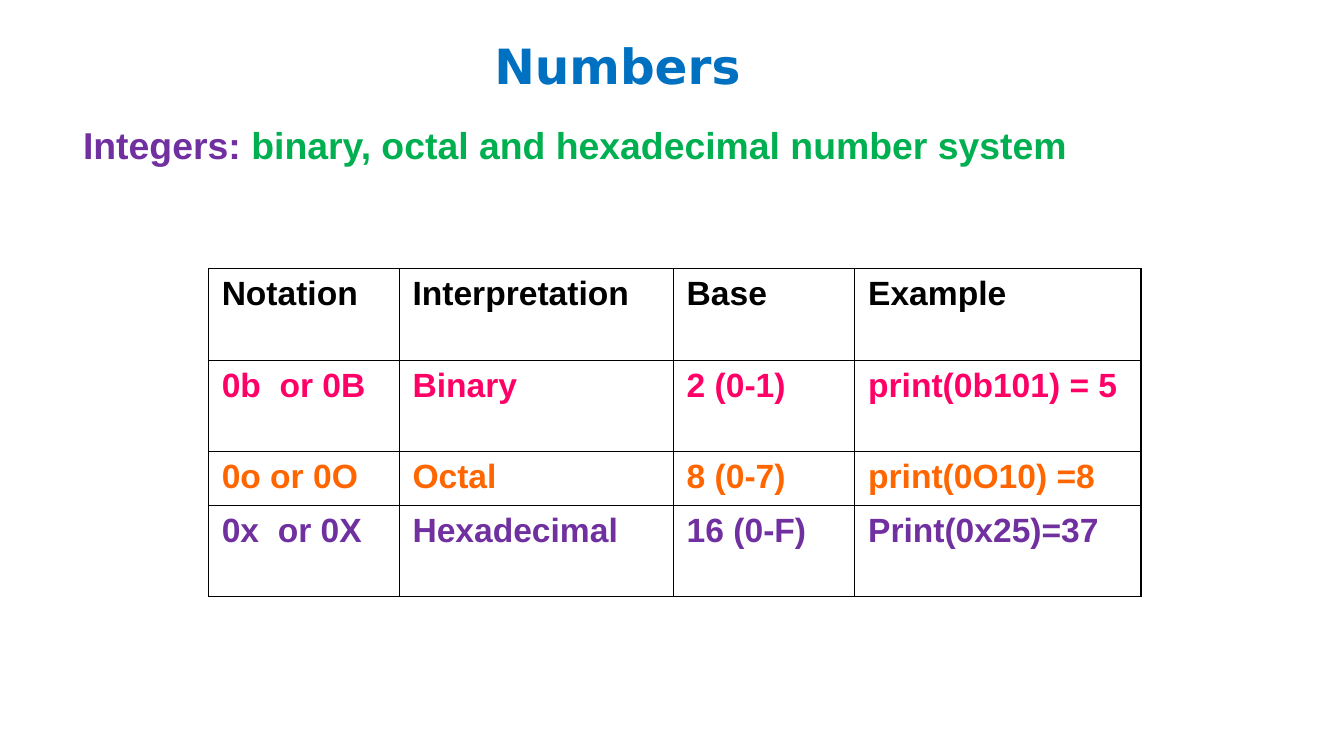
import pptx
import pptx.dml.color
import pptx.enum.text
import pptx.oxml
import pptx.oxml.ns
import pptx.util
from pptx.util import Inches

COLORS = {
    "black": "000000",
    "blue": "0070C0",
    "purple": "7030A0",
    "green": "00B050",
    "pink": "FF0066",
    "orange": "FF6600",
}
SLIDE_WIDTH = 10
SLIDE_HEIGHT = SLIDE_WIDTH * 9 / 16
COLUMN_WIDTHS = [1.42, 2.04, 1.35, 2.13]
# Row height, text colour, cell texts
ROWS = [
    (0.68, "black", ["Notation", "Interpretation", "Base", "Example"]),
    (0.68, "pink", ["0b  or 0B", "Binary", "2 (0-1)", "print(0b101) = 5"]),
    (0.39, "orange", ["0o or 0O", "Octal", "8 (0-7)", "print(0O10) =8"]),
    (0.68, "purple", ["0x  or 0X", "Hexadecimal", "16 (0-F)", "Print(0x25)=37"]),
]


def rgb(name):
    return pptx.dml.color.RGBColor.from_string(COLORS[name])


def set_font(font, name, size, color=None):
    font.name = name
    font.size = pptx.util.Pt(size)
    font.bold = True
    if color:
        font.color.rgb = rgb(color)


def add_text_box(slide, left, top, width, height):
    shape = slide.shapes.add_textbox(
        Inches(left), Inches(top), Inches(width), Inches(height))
    return shape.text_frame


def add_title(slide, left, top, width, height):
    frame = add_text_box(slide, left, top, width, height)
    frame.word_wrap = False
    frame.margin_left = frame.margin_right = Inches(0.1)
    frame.margin_top = frame.margin_bottom = Inches(0.1)
    paragraph = frame.paragraphs[0]
    paragraph.text = "Numbers"
    set_font(paragraph.font, "DejaVu Sans", 26, "blue")


def add_subtitle(slide, left, top, width, height):
    frame = add_text_box(slide, left, top, width, height)
    frame.word_wrap = True
    frame.auto_size = pptx.enum.text.MSO_AUTO_SIZE.SHAPE_TO_FIT_TEXT
    paragraph = frame.paragraphs[0]
    paragraph.alignment = pptx.enum.text.PP_ALIGN.JUSTIFY
    set_font(paragraph.font, "Arial", 20)
    for text, color in [("Integers: ", "purple"),
                        ("binary, octal and hexadecimal number system", "green")]:
        run = paragraph.add_run()
        run.text = text
        run.font.color.rgb = rgb(color)


def add_cell_borders(cell):
    properties = cell._tc.get_or_add_tcPr()
    namespace = pptx.oxml.ns.nsdecls("a")
    for index, side in enumerate(["lnL", "lnR", "lnT", "lnB"]):
        # Borders must come before the fill
        properties.insert(index, pptx.oxml.parse_xml(
            f'<a:{side} {namespace} w="{pptx.util.Pt(0.75)}"><a:solidFill>'
            f'<a:srgbClr val="{COLORS["black"]}"/></a:solidFill></a:{side}>'))


def add_notation_table(slide, left, top, width, height):
    table = slide.shapes.add_table(
        len(ROWS), len(COLUMN_WIDTHS), Inches(left), Inches(top),
        Inches(width), Inches(height)).table
    table.first_row = table.horz_banding = False
    for column, column_width in zip(table.columns, COLUMN_WIDTHS):
        column.width = Inches(column_width)
    for row, (row_height, color, texts) in zip(table.rows, ROWS):
        row.height = Inches(row_height)
        for cell, text in zip(row.cells, texts):
            cell.fill.background()
            add_cell_borders(cell)
            paragraph = cell.text_frame.paragraphs[0]
            paragraph.text = text
            set_font(paragraph.font, "Arial", 18, color)


def main():
    presentation = pptx.Presentation()
    presentation.slide_width = Inches(SLIDE_WIDTH)
    presentation.slide_height = Inches(SLIDE_HEIGHT)
    slide = presentation.slides.add_slide(presentation.slide_layouts[6])
    add_title(slide, 3.58, 0.17, 2.06, 0.29)
    add_subtitle(slide, 0.52, 0.86, 8.96, 0.44)
    add_notation_table(slide, 1.55, 2, 6.95, 2.43)
    presentation.save("out.pptx")


if __name__ == "__main__":
    main()
